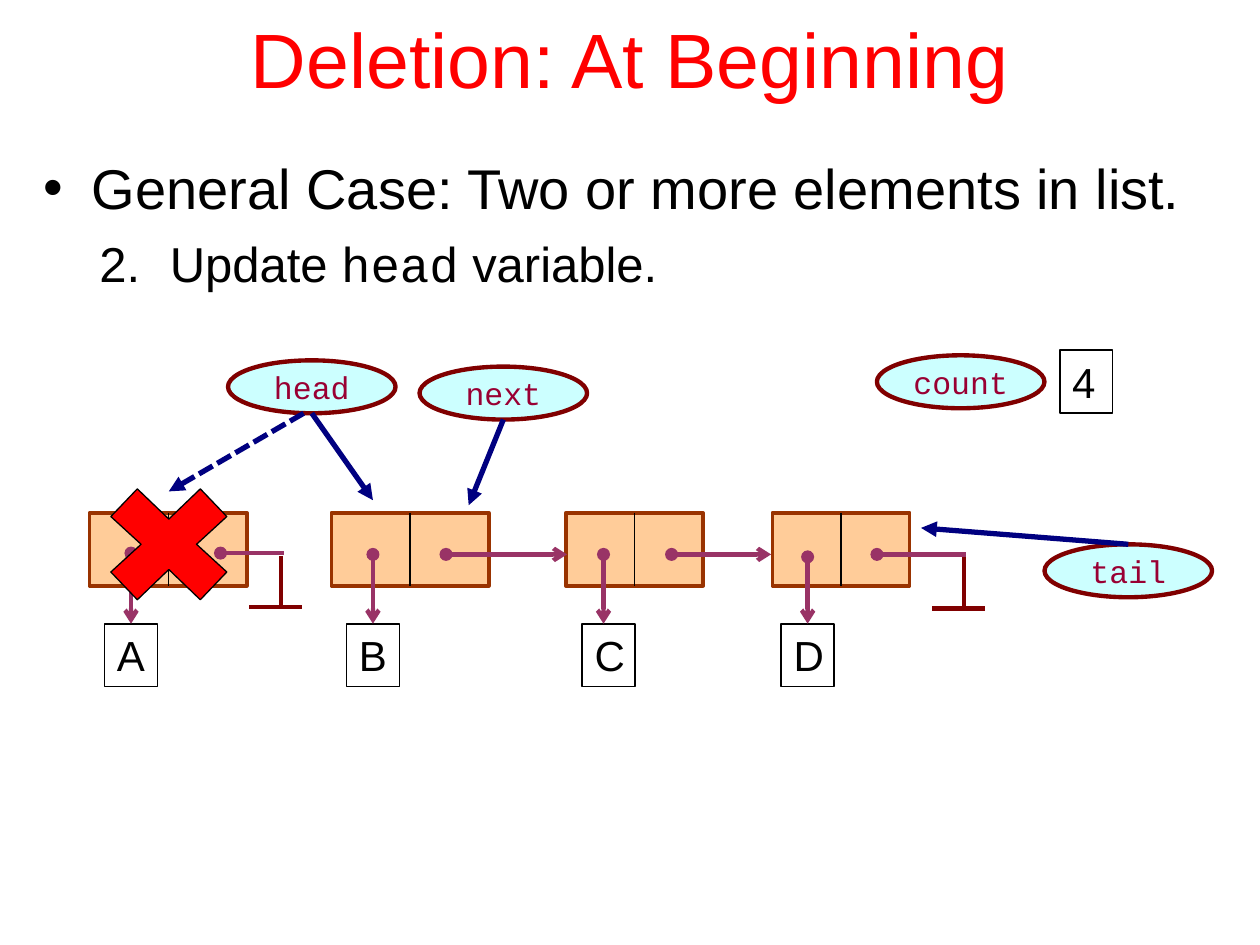
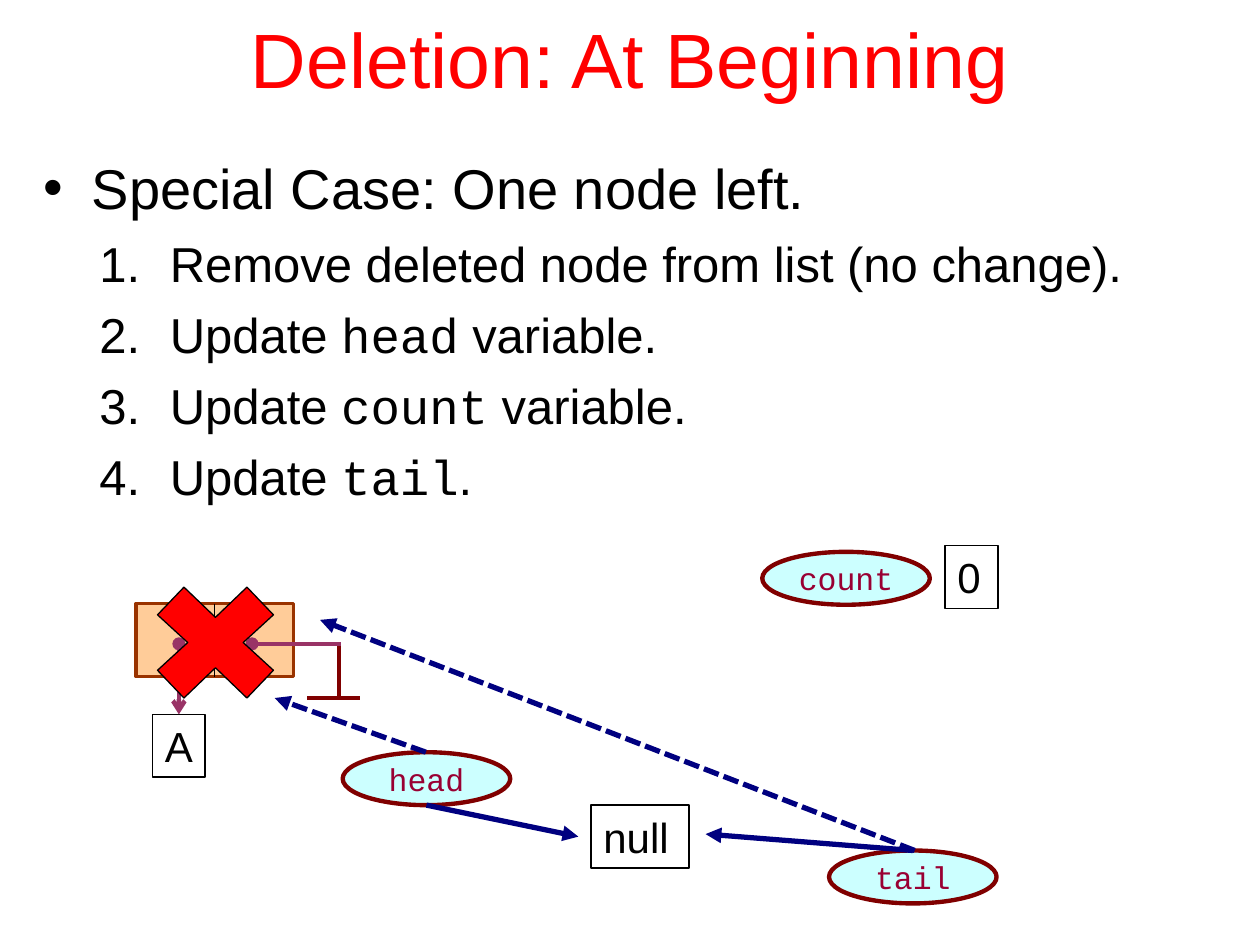
from lxml import etree
from pptx import Presentation
from pptx import util as u
from pptx.dml.color import RGBColor
from pptx.enum import dml, shapes, text
from pptx.oxml import ns

COLORS = {
    "title": "FF0000", "text": "000000", "page": "FFFFFF",
    "cell": "FFCC99", "cell_edge": "993300", "link": "993366",
    "oval": "CCFFFF", "ground": "800000", "variable": "990033",
    "arrow": "000080", "cross": "FF0000",
}
SANS, MONO = "Arial", "Courier New"
NODE_H, BOX_W, BOX_H, OVAL_W, OVAL_H = 0.58, 0.42, 0.5, 1.33, 0.42
CROSS_HALF = [(-0.46, -0.22), (-0.25, -0.44), (0, -0.2),
              (0.25, -0.44), (0.46, -0.22), (0.22, 0)]


class ListDeck:
    """Draws linked-list slides in one shared style."""

    def __init__(self):
        self.prs = Presentation()
        self.prs.slide_width, self.prs.slide_height = u.Inches(10), u.Inches(7.5)
        self.s = None

    def rgb(self, name):
        return RGBColor.from_string(COLORS[name])

    def run(self, p, words, size, color="text", font=SANS):
        r = p.add_run()
        r.text = words
        r.font.size, r.font.name = u.Pt(size), font
        r.font.color.rgb = self.rgb(color)

    def slide(self, title):
        self.s = self.prs.slides.add_slide(self.prs.slide_layouts[5])
        self.s.background.fill.solid()
        self.s.background.fill.fore_color.rgb = self.rgb("page")
        sp = self.s.shapes.title
        sp.left, sp.top = u.Inches(0.75), u.Inches(-0.17)
        sp.width, sp.height = u.Inches(8.5), u.Inches(1.25)
        sp.text_frame.vertical_anchor = text.MSO_ANCHOR.MIDDLE
        p = sp.text_frame.paragraphs[0]
        p.alignment = text.PP_ALIGN.CENTER
        self.run(p, title, 44, "title")

    def bullet(self, p, margin, indent, tag, **attrs):
        pPr = p._p.get_or_add_pPr()
        pPr.set("marL", str(u.Inches(margin)))
        pPr.set("indent", str(u.Inches(indent)))
        clr = etree.SubElement(pPr, ns.qn("a:buClr"))
        etree.SubElement(clr, ns.qn("a:srgbClr"), val=COLORS["text"])
        etree.SubElement(pPr, ns.qn("a:buFont"), typeface=SANS)
        etree.SubElement(pPr, ns.qn(tag), **attrs)

    def body(self, height, case, steps, start=1):
        sp = self.s.shapes.add_textbox(
            u.Inches(0.25), u.Inches(1.17), u.Inches(9.5), u.Inches(height))
        tf = sp.text_frame
        tf.word_wrap = True
        p = tf.paragraphs[0]
        self.bullet(p, 0.38, -0.38, "a:buChar", char="•")
        self.run(p, case, 32)
        for step in steps:
            p = tf.add_paragraph()
            self.bullet(p, 1, -0.56, "a:buAutoNum",
                        type="arabicPeriod", startAt=str(start))
            p.space_before = u.Pt(7)
            for i, words in enumerate(step):
                self.run(p, words, 28, font=MONO if i % 2 else SANS)

    def style(self, sp, fill, line, weight):
        sp.shadow.inherit = False
        if fill:
            sp.fill.solid()
            sp.fill.fore_color.rgb = self.rgb(fill)
        else:
            sp.fill.background()
        sp.line.color.rgb, sp.line.width = self.rgb(line), u.Pt(weight)

    def shape(self, kind, x, y, w, h, fill, line, weight):
        sp = self.s.shapes.add_shape(
            kind, u.Inches(x), u.Inches(y), u.Inches(w), u.Inches(h))
        self.style(sp, fill, line, weight)
        return sp

    def box(self, label, x, y, w=BOX_W):
        sp = self.shape(shapes.MSO_SHAPE.RECTANGLE, x, y, w, BOX_H, None, "text", 1)
        tf = sp.text_frame
        tf.word_wrap, tf.vertical_anchor = True, text.MSO_ANCHOR.TOP
        p = tf.paragraphs[0]
        p.alignment = text.PP_ALIGN.LEFT
        self.run(p, label, 24)
        return sp

    def line(self, x1, y1, x2, y2, color, weight, head=None, tail=None, dashed=False):
        cx = self.s.shapes.add_connector(
            shapes.MSO_CONNECTOR.STRAIGHT,
            u.Inches(x1), u.Inches(y1), u.Inches(x2), u.Inches(y2))
        cx.line.color.rgb, cx.line.width = self.rgb(color), u.Pt(weight)
        if dashed:
            cx.line.dash_style = dml.MSO_LINE.SQUARE_DOT
        ln = cx.line._get_or_add_ln()
        for tag, end in (("a:headEnd", head), ("a:tailEnd", tail)):
            if end:
                etree.SubElement(ln, ns.qn(tag), type=end)
        etree.SubElement(cx._element.spPr, ns.qn("a:effectLst"))
        return cx

    def link(self, x1, y1, x2, y2, tail="arrow"):
        return self.line(x1, y1, x2, y2, "link", 2.5, "oval", tail)

    def arrow(self, x1, y1, x2, y2, dashed=False):
        self.line(x1, y1, x2, y2, "arrow", 3, tail="triangle", dashed=dashed)

    def node(self, label, x, y, w=1.25, link_dx=0.33, link_dy=0.33, box_shift=0):
        self.shape(shapes.MSO_SHAPE.RECTANGLE, x, y, w, NODE_H, "cell", "cell_edge", 2)
        self.line(x + w / 2, y, x + w / 2, y + NODE_H, "text", 0.75)
        box_y, link_x = y + 0.88, x + link_dx
        box = self.box(label, link_x - BOX_W / 2 + box_shift, box_y)
        cx = self.link(link_x, y + link_dy, link_x, box_y)
        if not box_shift:
            cx.end_connect(box, 0)

    def null_link(self, x1, x2, y):
        self.link(x1, y, x2, y, tail=None)
        self.line(x2 - 0.02, y + 0.02, x2 - 0.02, y + 0.44, "ground", 2.5)
        self.line(x2 - 0.27, y + 0.43, x2 + 0.15, y + 0.43, "ground", 2.5)

    def variable(self, name, x, y, *targets):
        sp = self.shape(shapes.MSO_SHAPE.OVAL, x, y, OVAL_W, OVAL_H,
                        "oval", "ground", 2.5)
        tf = sp.text_frame
        tf.word_wrap, tf.vertical_anchor = False, text.MSO_ANCHOR.MIDDLE
        p = tf.paragraphs[0]
        p.alignment = text.PP_ALIGN.CENTER
        self.run(p, name, 18, "variable", MONO)
        for tx, ty in targets:
            self.arrow(x + OVAL_W / 2, y if ty < y else y + OVAL_H, tx, ty)

    def cross(self, x, y):
        half = CROSS_HALF + [(-dx, -dy) for dx, dy in CROSS_HALF]
        points = [(u.Inches(x + dx), u.Inches(y + dy)) for dx, dy in half]
        fb = self.s.shapes.build_freeform(*points[0])
        fb.add_line_segments(points[1:], close=True)
        self.style(fb.convert_to_shape(), "cross", "text", 0.75)


def general_case(d):
    d.slide("Deletion: At Beginning")
    d.body(1.23, "General Case: Two or more elements in list.",
           [("Update ", "head", " variable.")], start=2)
    y = 4.07
    d.node("A", 0.71, y, link_dy=0.32)
    d.node("B", 2.63, y)
    d.node("C", 4.49, y, w=1.09, link_dx=0.3, box_shift=0.04)
    d.node("D", 6.13, y, w=1.09, link_dx=0.28, link_dy=0.35)
    d.link(3.54, 4.4, 4.5, 4.4)
    d.link(5.33, 4.4, 6.12, 4.4)
    d.null_link(6.96, 7.67, 4.4)
    d.variable("head", 1.81, 2.86, (2.96, 3.97))
    d.variable("next", 3.33, 2.91, (3.72, 4.01))
    d.variable("tail", 8.29, 4.32, (7.31, 4.19))
    d.variable("count", 6.96, 2.82)
    d.box("4", 8.41, 2.78)
    d.cross(1.34, 4.32)
    d.null_link(1.75, 2.25, 4.39)
    d.arrow(2.41, 3.28, 1.34, 3.9, dashed=True)


def special_case(d):
    d.slide("Deletion: At Beginning")
    d.body(2.99, "Special Case: One node left.", [
        ("Remove deleted node from list (no change).",),
        ("Update ", "head", " variable."),
        ("Update ", "count", " variable."),
        ("Update ", "tail", "."),
    ])
    d.variable("head", 2.72, 5.97, (4.59, 6.64))
    d.variable("tail", 6.58, 6.75, (5.6, 6.62))
    d.variable("count", 6.05, 4.38)
    d.box("0", 7.5, 4.33)
    d.box("null", 4.69, 6.39, w=0.78)
    d.node("A", 1.08, 4.79, link_dx=0.34, link_dy=0.32)
    d.null_link(2, 2.71, 5.11)
    d.cross(1.71, 5.1)
    d.arrow(3.38, 5.97, 2.18, 5.54, dashed=True)
    d.arrow(7.26, 6.75, 2.54, 4.92, dashed=True)


def main():
    d = ListDeck()
    general_case(d)
    special_case(d)
    d.prs.save("out.pptx")


if __name__ == "__main__":
    main()
